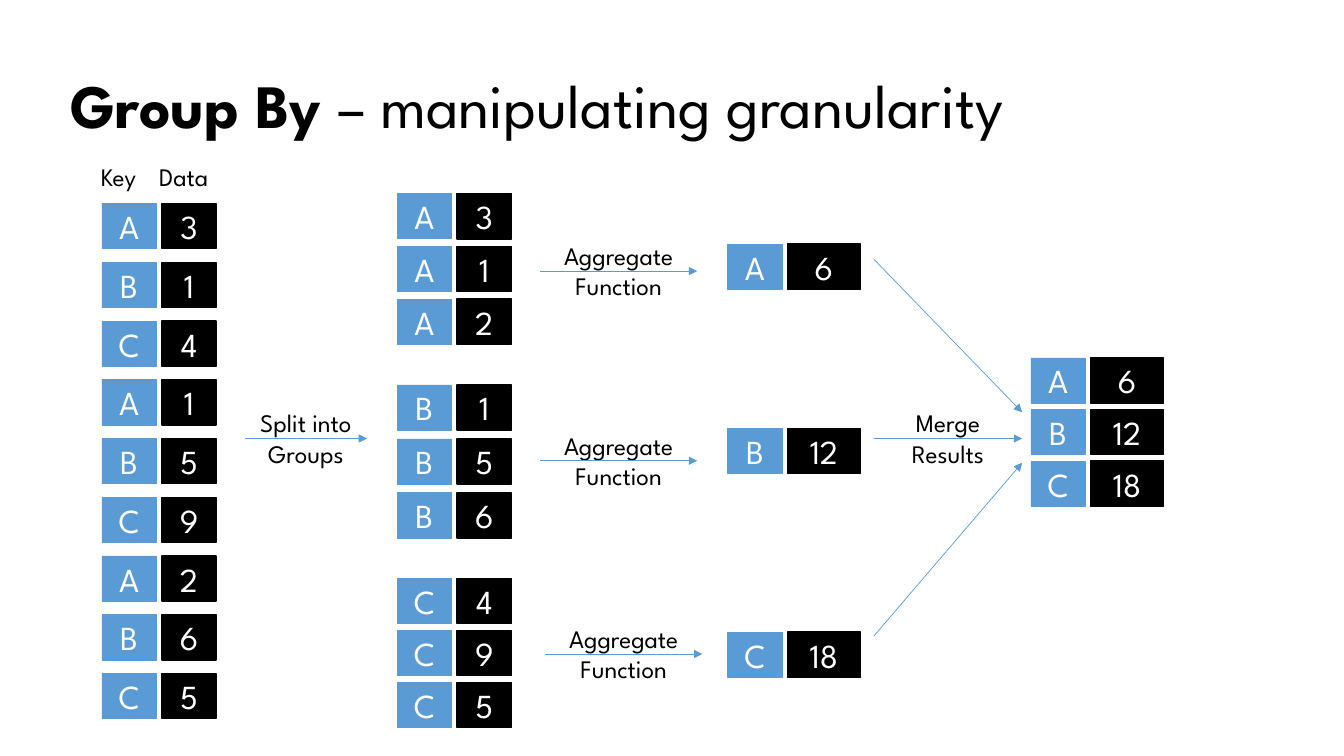
from dataclasses import dataclass
from itertools import groupby

from lxml import etree
from pptx import Presentation
from pptx import util as u
from pptx.dml.color import RGBColor
from pptx.enum import shapes, text
from pptx.oxml import ns


@dataclass(frozen=True)
class Theme:
    font: str = "League Spartan"
    blue: RGBColor = RGBColor(0x5B, 0x9B, 0xD5)
    black: RGBColor = RGBColor(0, 0, 0)
    white: RGBColor = RGBColor(255, 255, 255)
    title_size: int = 44
    cell_size: int = 24
    label_size: int = 18
    thin: float = 0.5
    border: float = 1


@dataclass(frozen=True)
class Record:
    key: str
    value: int


@dataclass(frozen=True)
class Stack:
    """Records listed downwards; lengths in centimetres."""
    records: list[Record]
    left: float
    top: float
    pitch: float = 0
    data_width: float = 1.37


@dataclass(frozen=True)
class Step:
    """An arrow with an optional label centred on it; lengths in centimetres."""
    start: tuple[float, float]
    end: tuple[float, float]
    label: tuple[str, ...] = ()


THEME = Theme()
KEY_WIDTH, DATA_OFFSET, CELL_HEIGHT = 1.37, 1.51, 1.14
LABEL_HEIGHT = 1.8

SOURCE = [Record(key, value) for key, value in zip("ABC" * 3, (3, 1, 4, 1, 5, 9, 2, 6, 5))]
GROUPS = [list(members) for _, members in
          groupby(sorted(SOURCE, key=lambda record: record.key), lambda record: record.key)]
TOTALS = [Record(members[0].key, sum(record.value for record in members)) for members in GROUPS]

STACKS = [
    Stack(SOURCE, 2.57, 5.13, 1.48),
    *(Stack(members, 10.01, top, pitch) for members, top, pitch in
      zip(GROUPS, (4.88, 9.7, 14.58), (1.33, 1.36, 1.31))),
    *(Stack([total], 18.34, top, data_width=1.83) for total, top in
      zip(TOTALS, (6.15, 10.8, 15.93))),
    Stack(TOTALS, 25.98, 9.02, 1.3, 1.83),
]

STEPS = [
    Step((6.17, 11.05), (9.25, 11.05), ("Split into", "Groups")),
    *(Step((left, y), (left + 3.96, y), ("Aggregate", "Function"))
      for left, y in ((13.61, 6.83), (13.61, 11.61), (13.74, 16.48))),
    Step((22.02, 6.53), (25.76, 10.39)),
    Step((22.02, 11.05), (25.76, 11.05), ("Merge", "Results")),
    Step((22.02, 16.03), (25.76, 11.66)),
]


def write(frame, *lines: list[tuple[str, bool]] | str, size: int, color: RGBColor = THEME.black,
          align=text.PP_ALIGN.LEFT, anchor=text.MSO_ANCHOR.TOP, wrap: bool = False,
          spacing: float = 1.0) -> None:
    """Each line is a string or a list of (words, bold) runs."""
    frame.word_wrap = wrap
    frame.vertical_anchor = anchor
    for index, line in enumerate(lines):
        paragraph = frame.add_paragraph() if index else frame.paragraphs[0]
        paragraph.alignment = align
        paragraph.line_spacing = spacing
        for words, bold in [(line, False)] if isinstance(line, str) else line:
            run = paragraph.add_run()
            run.text = words
            run.font.name = THEME.font
            run.font.size = u.Pt(size)
            run.font.bold = bold
            run.font.color.rgb = color


def add_text_frame(slide, left: float, top: float, width: float, height: float):
    return slide.shapes.add_textbox(u.Cm(left), u.Cm(top), u.Cm(width), u.Cm(height)).text_frame


def draw_cell(pair, content: str, left: float, top: float, width: float,
              color: RGBColor, border: float) -> None:
    cell = pair.shapes.add_shape(shapes.MSO_SHAPE.RECTANGLE, u.Cm(left), u.Cm(top),
                                 u.Cm(width), u.Cm(CELL_HEIGHT))
    cell.shadow.inherit = False
    cell.fill.solid()
    cell.fill.fore_color.rgb = color
    cell.line.color.rgb = color
    cell.line.width = u.Pt(border)
    write(cell.text_frame, content, size=THEME.cell_size, color=THEME.white,
          align=text.PP_ALIGN.CENTER, anchor=text.MSO_ANCHOR.MIDDLE, wrap=True)


def draw_stack(slide, stack: Stack) -> None:
    for row, record in enumerate(stack.records):
        top = stack.top + row * stack.pitch
        pair = slide.shapes.add_group_shape()
        draw_cell(pair, record.key, stack.left, top, KEY_WIDTH, THEME.blue, THEME.thin)
        draw_cell(pair, str(record.value), stack.left + DATA_OFFSET, top, stack.data_width,
                  THEME.black, THEME.border)


def draw_step(slide, step: Step) -> None:
    (x1, y1), (x2, y2) = step.start, step.end
    if step.label:
        frame = add_text_frame(slide, x1, y1 - LABEL_HEIGHT / 2, x2 - x1, LABEL_HEIGHT)
        write(frame, *step.label, size=THEME.label_size, align=text.PP_ALIGN.CENTER)
    arrow = slide.shapes.add_connector(shapes.MSO_CONNECTOR.STRAIGHT,
                                       u.Cm(x1), u.Cm(y1), u.Cm(x2), u.Cm(y2))
    arrow.line.color.rgb = THEME.blue
    arrow.line.width = u.Pt(THEME.thin)
    etree.SubElement(arrow.line._get_or_add_ln(), ns.qn("a:tailEnd"), type="triangle")
    etree.SubElement(arrow._element.spPr, ns.qn("a:effectLst"))


def main() -> None:
    deck = Presentation()
    deck.slide_width, deck.slide_height = u.Cm(33.87), u.Cm(19.05)
    slide = deck.slides.add_slide(deck.slide_layouts[6])

    write(add_text_frame(slide, 1.52, 0.89, 30, 3.68),
          [("Group By ", True), ("– manipulating granularity", False)],
          size=THEME.title_size, anchor=text.MSO_ANCHOR.MIDDLE, wrap=True, spacing=0.9)
    for heading, left, width in (("Key", 2.29, 1.65), ("Data", 3.76, 2.08)):
        write(add_text_frame(slide, left, 3.94, width, 1.02), heading, size=THEME.label_size)
    for stack in STACKS:
        draw_stack(slide, stack)
    for step in STEPS:
        draw_step(slide, step)

    deck.save("out.pptx")


if __name__ == "__main__":
    main()
